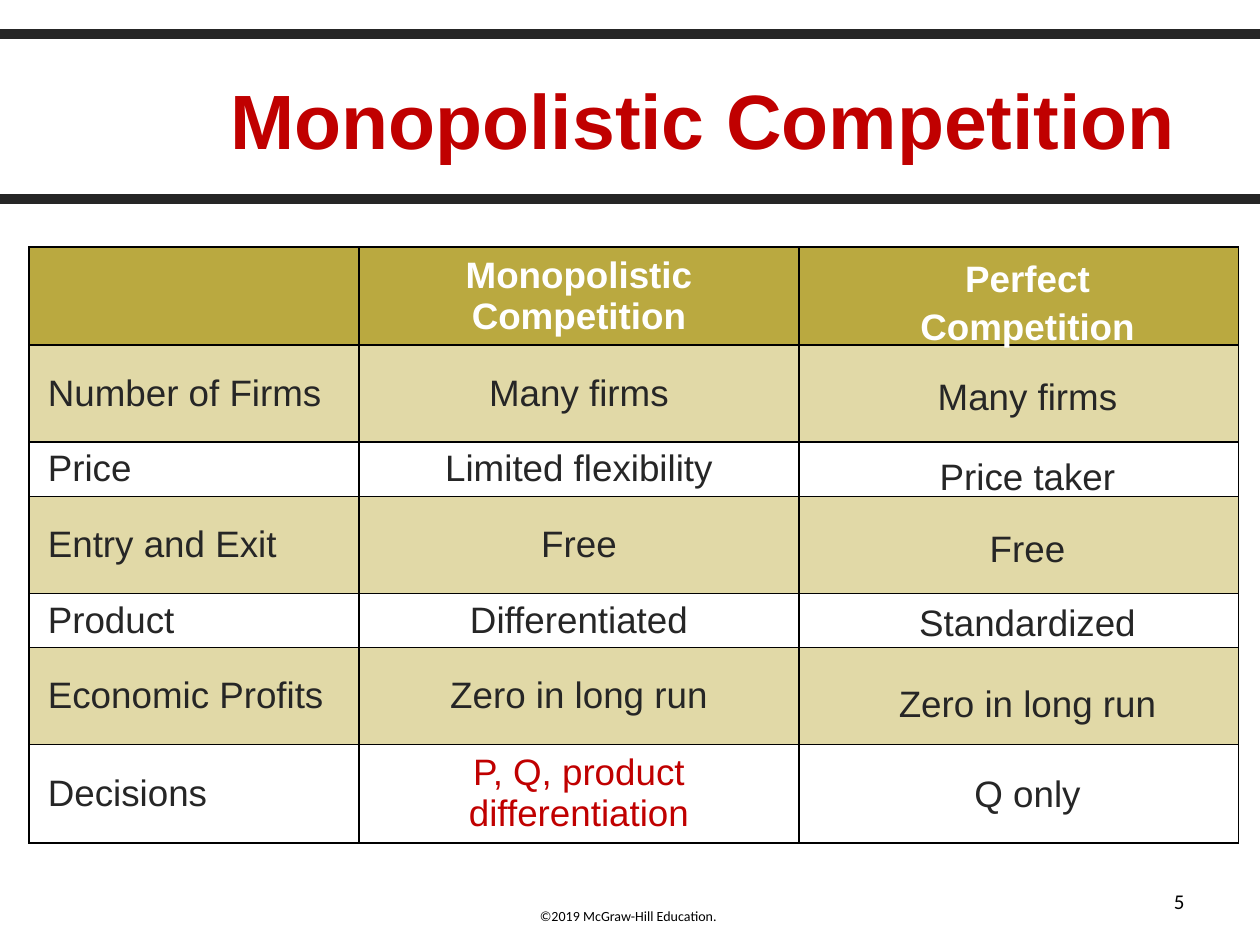
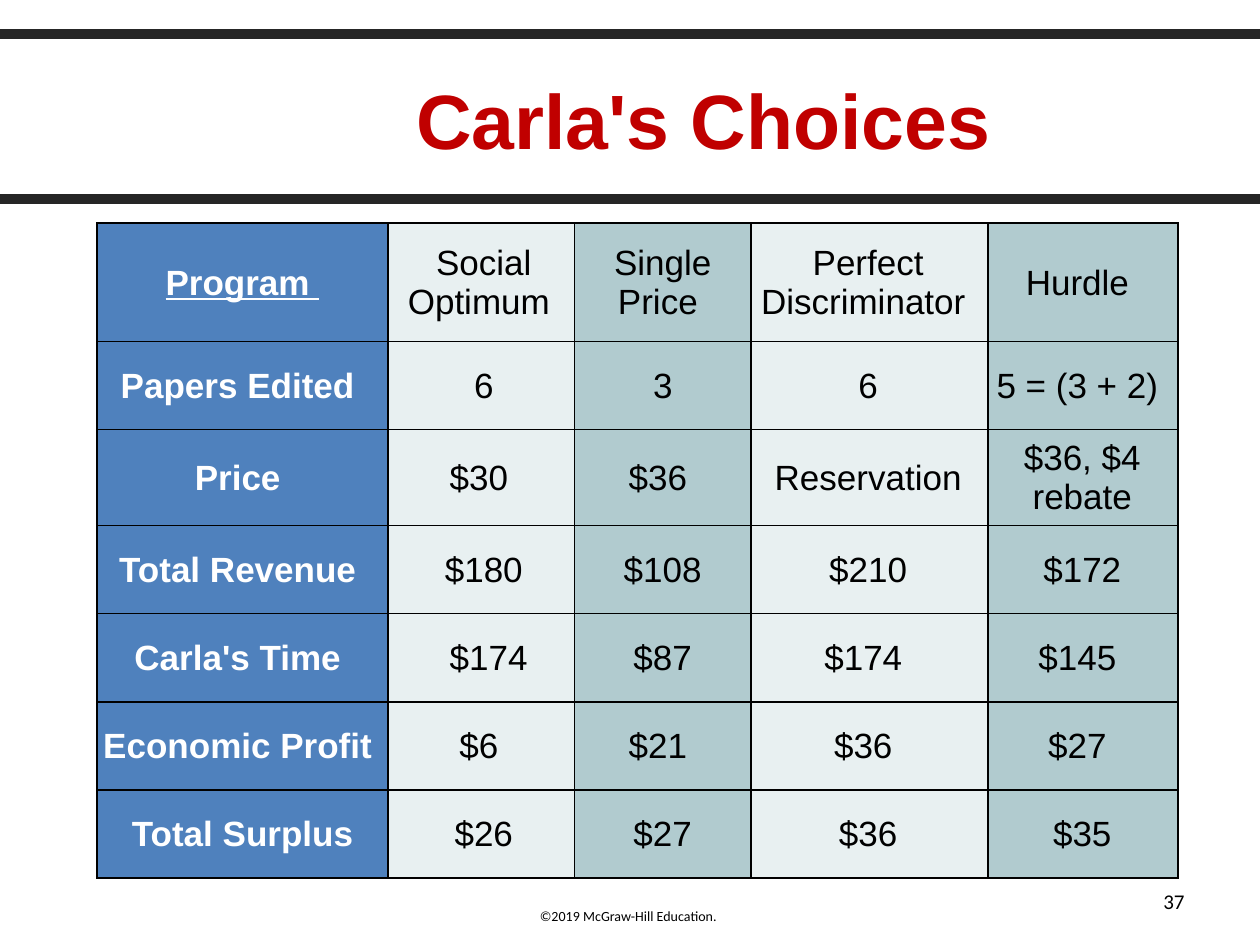
import pptx
import pptx.util
import pptx.dml.color
import pptx.enum.shapes
import pptx.enum.text
import pptx.oxml
import pptx.oxml.ns

ALIGN = pptx.enum.text.PP_ALIGN
MIDDLE = pptx.enum.text.MSO_ANCHOR.MIDDLE
INK, BLACK, WHITE, RED = "262626", "000000", "FFFFFF", "C00000"
GOLD, SAND = "BAA940", "E1D9A7"
BLUE, PALE, TEAL = "4F81BD", "E8F0F1", "B1CBCF"
WIDTH, HEIGHT = 10, 7.5
BAND_LEVELS = (0.27, 1.58)
COPYRIGHT = "©2019 McGraw-Hill Education. "

# Slide 1: row label, monopolistic competition
COMPARISON = [
    ("", "Monopolistic Competition"),
    ("Number of Firms", "Many firms"),
    ("Price", "Limited flexibility"),
    ("Entry and Exit", "Free"),
    ("Product", "Differentiated"),
    ("Economic Profits", "Zero in long run"),
    ("Decisions", "P, Q, product differentiation"),
]
COMPARISON_COLUMNS = (2.62, 3.49, 3.49)
COMPARISON_ROWS = (0.77, 0.77, 0.42, 0.77, 0.42, 0.77, 0.77)
# Perfect competition: text, top, width, height of each floating answer
PERFECT_CENTRE = 8.155
PERFECT = [
    ("Perfect Competition", 1.96, 2.57, 0.81),
    ("Many firms", 2.89, 1.64, 0.81),
    ("Price taker", 3.53, 1.61, 0.45),
    ("Free", 4.1, 0.88, 0.45),
    ("Standardized", 4.69, 2.04, 0.45),
    ("Zero in long run", 5.33, 2.27, 0.45),
    ("Q only", 6.04, 1.97, 0.45),
]

# Slide 2: one list for each column
PROGRAM = ["Program ", "Papers Edited ", "Price ", "Total Revenue ",
           "Carla's Time ", "Economic Profit ", "Total Surplus"]
SOCIAL = ["Social Optimum ", "6", "$30 ", "$180", " $174", "$6 ", "$26"]
HURDLE = ["Hurdle ", "5 = (3 + 2) ", "$36, $4 rebate", "$172", "$145 ", "$27 ", "$35"]
DISCRIMINATOR = ["Perfect Discriminator ", "6", "Reservation", "$210", "$174 ", "$36 ", "$36"]
SINGLE = ["Single Price ", "3", "$36 ", "$108", "$87", "$21 ", "$27"]
CHOICES_TOP = 1.77
CHOICES_ROWS = (0.94, 0.7, 0.76, 0.7, 0.7, 0.7, 0.7)
# left, column widths, columns, column fills
CHOICES = [
    (0.77, (2.31, 1.52), (PROGRAM, SOCIAL), (BLUE, PALE)),
    (7.83, (1.52,), (HURDLE,), (TEAL,)),
    (5.94, (1.9,), (DISCRIMINATOR,), (PALE,)),
    (4.56, (1.4,), (SINGLE,), (TEAL,)),
]


def inches(*lengths):
    return [pptx.util.Inches(length) for length in lengths]


def rgb(value):
    return pptx.dml.color.RGBColor.from_string(value)


def write(frame, text, size, color, align=ALIGN.CENTER, face="Arial", spacing=None, **style):
    paragraph = frame.paragraphs[0]
    paragraph.alignment = align
    if spacing:
        paragraph.line_spacing = spacing
    run = paragraph.add_run()
    run.text = text
    run.font.color.rgb = rgb(color)
    for name, value in {"size": pptx.util.Pt(size), "name": face, **style}.items():
        setattr(run.font, name, value)


def add_text(slide, place, text, size, color, anchor=None, **style):
    frame = slide.shapes.add_textbox(*inches(*place)).text_frame
    frame.word_wrap = True
    if anchor is not None:
        frame.vertical_anchor = anchor
    write(frame, text, size, color, **style)


def format_cell(cell, fill, margins):
    """Give a cell a black outline, a fill, its margins and a middle anchor."""
    properties = cell._tc.get_or_add_tcPr()
    for side in "LRTB":
        properties.append(pptx.oxml.parse_xml(
            f'<a:ln{side} {pptx.oxml.ns.nsdecls("a")} w="12700"><a:solidFill>'
            f'<a:srgbClr val="{BLACK}"/></a:solidFill></a:ln{side}>'))
    cell.fill.solid()
    cell.fill.fore_color.rgb = rgb(fill)
    cell.vertical_anchor = MIDDLE
    for side, margin in zip(("left", "top", "right", "bottom"), inches(*margins)):
        setattr(cell, f"margin_{side}", margin)


def add_grid(slide, left, top, widths, heights):
    grid = slide.shapes.add_table(
        len(heights), len(widths), *inches(left, top, sum(widths), sum(heights))).table
    grid.first_row = grid.horz_banding = False
    for column, width in zip(grid.columns, inches(*widths)):
        column.width = width
    for row, height in zip(grid.rows, inches(*heights)):
        row.height = height
    return grid


def start_slide(deck, heading, number):
    """Add a slide with the bands, title, copyright line and number."""
    slide = deck.slides.add_slide(deck.slide_layouts[5])
    for level in BAND_LEVELS:
        band = slide.shapes.add_connector(
            pptx.enum.shapes.MSO_CONNECTOR.STRAIGHT, *inches(0, level, WIDTH, level))
        band.line.color.rgb = rgb(INK)
        band.line.width = pptx.util.Pt(5.5)
        band._element.spPr.append(
            pptx.oxml.parse_xml(f'<a:effectLst {pptx.oxml.ns.nsdecls("a")}/>'))
    title = slide.shapes.title
    title.left, title.top, title.width, title.height = inches(1.17, 0.3, 8.83, 1.28)
    title.text_frame.vertical_anchor = MIDDLE
    write(title.text_frame, heading, 44, RED, bold=True)
    add_text(slide, (WIDTH / 3, 7.15, WIDTH / 3, 0.35), COPYRIGHT, 8, BLACK, face="Calibri")
    add_text(slide, (7.17, 6.95, 2.33, 0.4), str(number), 12, BLACK, MIDDLE,
             align=ALIGN.RIGHT, face="Calibri")
    return slide


def build_comparison(deck):
    slide = start_slide(deck, "Monopolistic Competition", 5)
    grid = add_grid(slide, 0.23, 1.96, COMPARISON_COLUMNS, COMPARISON_ROWS)
    last = len(COMPARISON) - 1
    for r, texts in enumerate(COMPARISON):
        fill = GOLD if r == 0 else SAND if r % 2 else WHITE
        for c in range(len(COMPARISON_COLUMNS)):
            cell = grid.cell(r, c)
            format_cell(cell, fill, (0.15, 0.04, 0.15, 0.04))
            if c < len(texts) and texts[c]:
                color = WHITE if r == 0 else RED if (r, c) == (last, 1) else INK
                write(cell.text_frame, texts[c], 21, color,
                      align=ALIGN.CENTER if c else ALIGN.LEFT, bold=r == 0)
    for r, (text, top, width, height) in enumerate(PERFECT):
        add_text(slide, (PERFECT_CENTRE - width / 2, top, width, height), text, 21,
                 INK if r else WHITE, bold=r == 0, spacing=1.07)


def build_choices(deck):
    slide = start_slide(deck, "Carla's Choices", 37)
    for left, widths, columns, fills in CHOICES:
        grid = add_grid(slide, left, CHOICES_TOP, widths, CHOICES_ROWS)
        for c, (texts, fill) in enumerate(zip(columns, fills)):
            label = texts is PROGRAM
            for r, text in enumerate(texts):
                cell = grid.cell(r, c)
                format_cell(cell, fill, (0.01, 0.01, 0.01, 0))
                write(cell.text_frame, text, 20, WHITE if label else BLACK,
                      bold=label, underline=label and r == 0)


def main():
    deck = pptx.Presentation()
    deck.slide_width, deck.slide_height = inches(WIDTH, HEIGHT)
    build_comparison(deck)
    build_choices(deck)
    deck.save("out.pptx")


if __name__ == "__main__":
    main()
